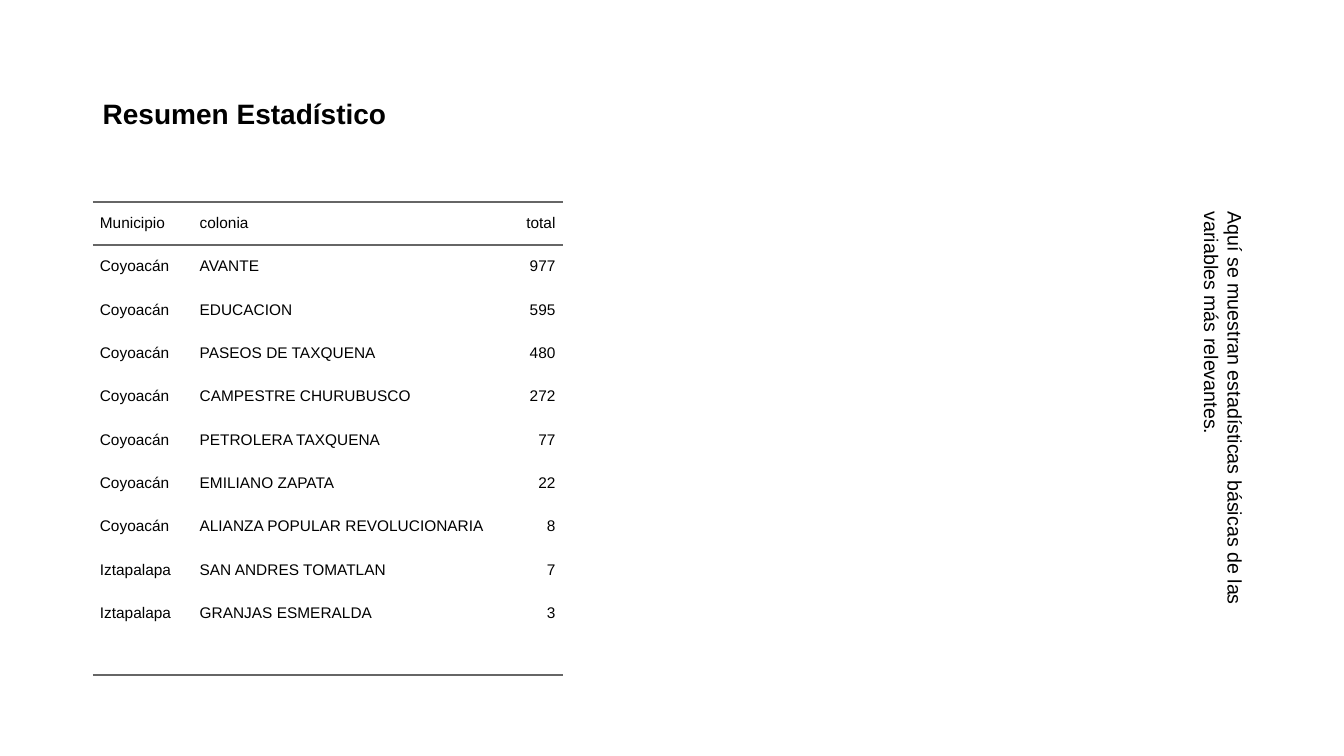
from lxml.etree import SubElement
from pptx import Presentation
from pptx.dml.color import RGBColor
from pptx.enum.text import MSO_ANCHOR as Anchor, PP_ALIGN as Align
from pptx.oxml.ns import qn
from pptx.util import Inches, Pt

BLACK = RGBColor(0x00, 0x00, 0x00)
RULE_GRAY = RGBColor(0x66, 0x66, 0x66)
FONT = "Arial"
NO_STYLE_NO_GRID = "{2D5ABB26-0587-4C30-8999-92F81FD0307C}"

TITLE_BOX = (0.92, 0.4, 11.5, 1.45)
BODY_BOX = (0.92, 2, 11.5, 4.76)

COLUMN_WIDTHS = (0.99, 3.1, 0.57)
ROW_HEIGHT = 0.43
FOOTER_HEIGHT = 0.29
CELL_PADDING = 0.07

ROWS = [
    ("Municipio", "colonia", "total"),
    ("Coyoacán", "AVANTE", "977"),
    ("Coyoacán", "EDUCACION", "595"),
    ("Coyoacán", "PASEOS DE TAXQUENA", "480"),
    ("Coyoacán", "CAMPESTRE CHURUBUSCO", "272"),
    ("Coyoacán", "PETROLERA TAXQUENA", "77"),
    ("Coyoacán", "EMILIANO ZAPATA", "22"),
    ("Coyoacán", "ALIANZA POPULAR REVOLUCIONARIA", "8"),
    ("Iztapalapa", "SAN ANDRES TOMATLAN", "7"),
    ("Iztapalapa", "GRANJAS ESMERALDA", "3"),
]


def write(frame, text, size, bold=False, align=Align.LEFT, spacing=0):
    """Put text in the frame's first paragraph and return that paragraph."""
    para = frame.paragraphs[0]
    para.alignment = align
    para.space_before = para.space_after = Pt(spacing)
    span = para.add_run()
    span.text = text
    span.font.name = FONT
    span.font.size = Pt(size)
    span.font.bold = bold
    span.font.color.rgb = BLACK
    return para


def add_text_box(page, bounds, text, size, anchor=Anchor.TOP, bold=False):
    box = page.shapes.add_textbox(*map(Inches, bounds))
    box.text_frame.word_wrap = True
    box.text_frame.vertical_anchor = anchor
    write(box.text_frame, text, size, bold=bold)
    return box


def add_title(page, bounds):
    add_text_box(page, bounds, "Resumen Estadístico", 20, Anchor.MIDDLE, bold=True)


def add_vertical_note(page, bounds):
    note = "Aquí se muestran estadísticas básicas de las variables más relevantes."
    box = add_text_box(page, bounds, note, 14)
    box.element.txBody.bodyPr.set("vert", "eaVert")


def add_rule(cell, side):
    """Draw a cell border; side is "T" or "B"."""
    properties = cell._tc.get_or_add_tcPr()
    line = SubElement(properties, qn(f"a:ln{side}"), w=str(Pt(1.5)))
    fill = SubElement(line, qn("a:solidFill"))
    SubElement(fill, qn("a:srgbClr"), val=str(RULE_GRAY))


def fill_cell(cell, text, align):
    cell.vertical_anchor = Anchor.MIDDLE
    cell.margin_left = cell.margin_right = 0
    cell.margin_top = cell.margin_bottom = Inches(CELL_PADDING)
    para = write(cell.text_frame, text, 11, align=align, spacing=5)
    properties = para._p.get_or_add_pPr()
    for side in ("marL", "marR"):
        properties.set(side, str(Inches(CELL_PADDING)))


def add_summary_table(page, bounds):
    left, top = bounds[:2]
    footer = len(ROWS)
    height = footer * ROW_HEIGHT + FOOTER_HEIGHT
    size = (footer + 1, len(COLUMN_WIDTHS))
    area = map(Inches, (left, top, sum(COLUMN_WIDTHS), height))
    table = page.shapes.add_table(*size, *area).table
    table.first_row = table.horz_banding = False
    table._tbl.tblPr.find(qn("a:tableStyleId")).text = NO_STYLE_NO_GRID

    for column, width in zip(table.columns, COLUMN_WIDTHS):
        column.width = Inches(width)
    for row in table.rows:
        row.height = Inches(ROW_HEIGHT)
    table.rows[footer].height = Inches(FOOTER_HEIGHT)

    for row_index, values in enumerate(ROWS):
        for column_index, value in enumerate(values):
            is_total = column_index == len(values) - 1
            align = Align.RIGHT if is_total else Align.LEFT
            fill_cell(table.cell(row_index, column_index), value, align)

    for row_index, sides in ((0, "TB"), (footer, "B")):
        for cell in table.rows[row_index].cells:
            for side in sides:
                add_rule(cell, side)
    for cell in table.iter_cells():
        cell.fill.background()


def main():
    deck = Presentation()
    deck.slide_width, deck.slide_height = Inches(13.33), Inches(7.5)
    page = deck.slides.add_slide(deck.slide_layouts[6])
    add_title(page, TITLE_BOX)
    add_vertical_note(page, BODY_BOX)
    add_summary_table(page, BODY_BOX)
    deck.save("out.pptx")


if __name__ == "__main__":
    main()
